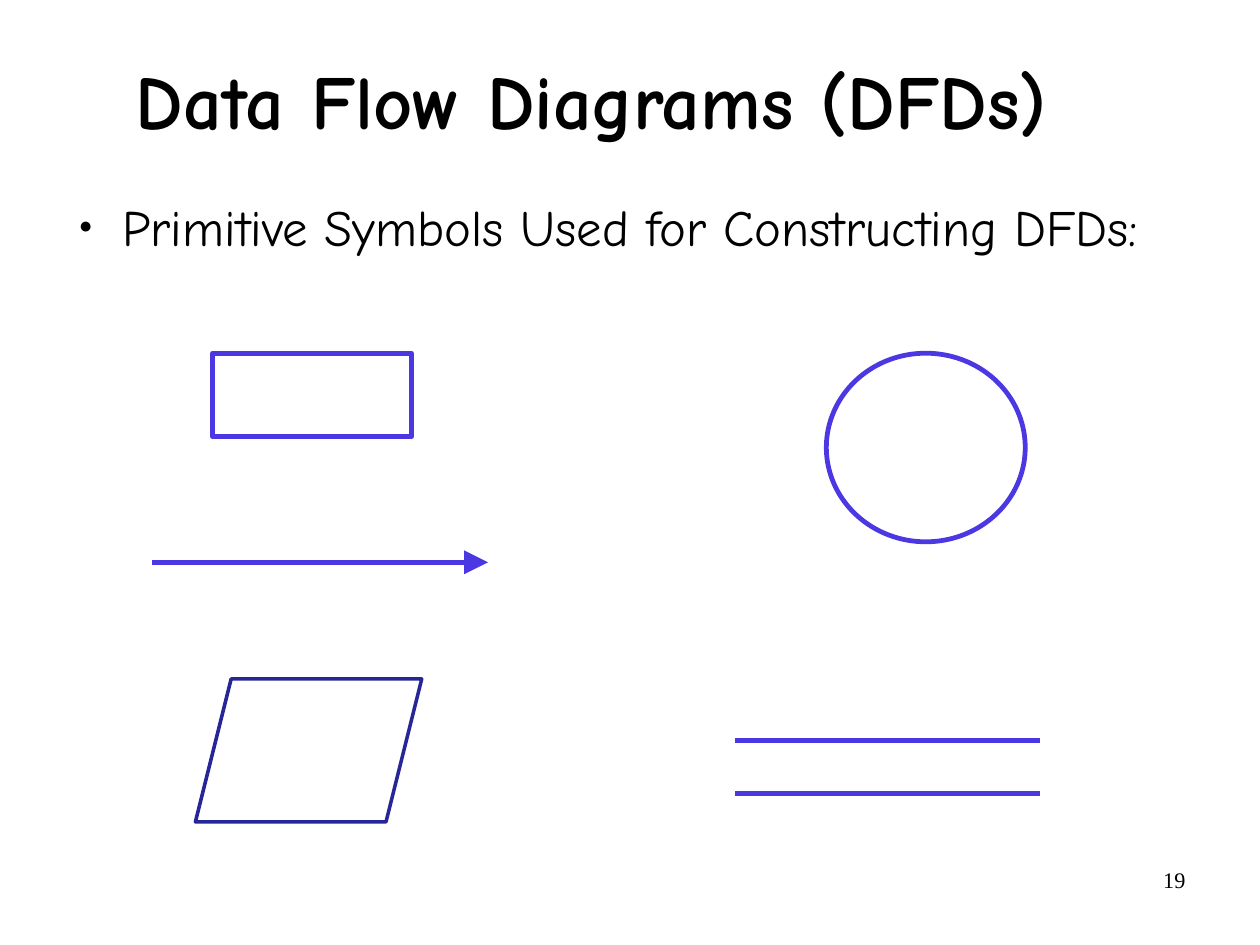
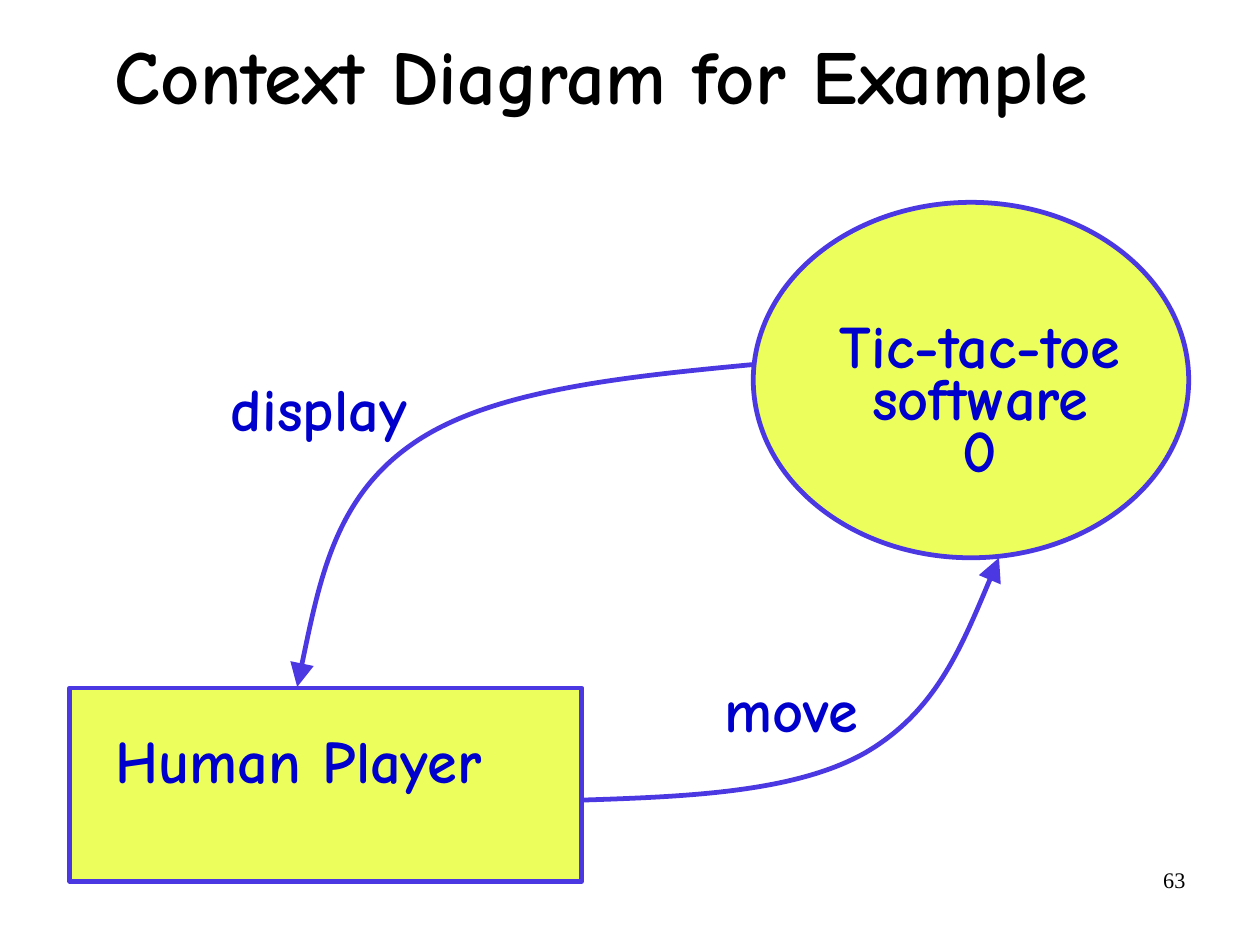
from pptx import Presentation
from pptx.dml.color import RGBColor
from pptx.enum.shapes import MSO_CONNECTOR, MSO_SHAPE
from pptx.enum.text import MSO_ANCHOR, PP_ALIGN
from pptx.oxml.ns import qn
from pptx.util import Inches, Pt
from lxml.etree import SubElement

COLORS = {"ink": "000000", "blue": "4C38E2", "navy": "262699", "lime": "EBFE5C", "label": "0000CC"}
COMIC = "Comic Neue"
TIMES = "Times New Roman"
STYLES = {
    "title": {
        "font": {"name": COMIC, "size": Pt(48), "bold": True},
        "para": {"alignment": PP_ALIGN.CENTER, "line_spacing": 0.94},
        "color": "ink", "pad": (0.02, 0.06, 0.02, 0.06), "anchor": MSO_ANCHOR.MIDDLE,
    },
    "body": {
        "font": {"name": COMIC, "size": Pt(32), "bold": False},
        "para": {"line_spacing": 1.15, "space_after": Pt(6)},
        "color": "ink", "pad": (0.02, 0.06, 0.02, 0.06), "anchor": MSO_ANCHOR.TOP,
    },
    "number": {
        "font": {"name": TIMES, "size": Pt(14), "bold": False},
        "para": {"alignment": PP_ALIGN.RIGHT},
        "color": "ink", "pad": (0.1, 0.05, 0.1, 0.05), "anchor": MSO_ANCHOR.TOP,
    },
    "label": {
        "font": {"name": COMIC, "size": Pt(38), "bold": True},
        "para": {"alignment": PP_ALIGN.LEFT, "line_spacing": 0.72},
        "color": "label", "pad": (0.02, 0.06, 0.02, 0.06), "anchor": MSO_ANCHOR.TOP,
    },
}


def write(shape, text, style, pad=None, align=None):
    look = STYLES[style]
    frame = shape.text_frame
    frame.word_wrap = True
    frame.vertical_anchor = look["anchor"]
    for side, gap in zip(("left", "top", "right", "bottom"), pad or look["pad"]):
        setattr(frame, f"margin_{side}", Inches(gap))
    para = frame.paragraphs[0]
    para.text = text
    for key, value in look["para"].items():
        setattr(para, key, value)
    if align is not None:
        para.alignment = align
    for run in para.runs:
        for key, value in look["font"].items():
            setattr(run.font, key, value)
        run.font.color.rgb = RGBColor.from_string(COLORS[look["color"]])
    return para


def paint(shape, line="blue", width=3, fill=None, arrow=False):
    shape.line.color.rgb = RGBColor.from_string(COLORS[line])
    shape.line.width = Pt(width)
    if hasattr(shape, "fill"):
        shape.shadow.inherit = False
        if fill:
            shape.fill.solid()
            shape.fill.fore_color.rgb = RGBColor.from_string(COLORS[fill])
        else:
            shape.fill.background()
    else:
        SubElement(shape._element.spPr, qn("a:effectLst"))
    if arrow:
        edge = shape._element.spPr.find(qn("a:ln"))
        SubElement(edge, qn("a:tailEnd"), type="triangle", w="lg", len="lg")


deck = Presentation()
deck.slide_width = Inches(28 / 2.54)
deck.slide_height = Inches(21 / 2.54)

slides = []
for title, box, number in (
    ("Data Flow Diagrams (DFDs)", (0.49, 0.22, 9.37, 1.37), "19"),
    ("Context Diagram for Example", (0, 0, 10.53, 1.37), "63"),
):
    slide = deck.slides.add_slide(deck.slide_layouts[6])
    write(slide.shapes.add_textbox(*map(Inches, (7.9, 7.53, 2.57, 0.57))), number, "number")
    write(slide.shapes.add_textbox(*map(Inches, box)), title, "title")
    slides.append(slide)
symbols, context = slides

body = symbols.shapes.add_textbox(*map(Inches, (0.67, 1.57, 10.35, 5.33)))
para = write(body, "Primitive Symbols Used for Constructing DFDs:", "body")
props = para._p.get_or_add_pPr()
props.set("marL", str(Inches(0.38)))
props.set("indent", str(-Inches(0.38)))
SubElement(SubElement(props, qn("a:buClr")), qn("a:srgbClr"), val=COLORS["ink"])
SubElement(props, qn("a:buSzPct"), val="45000")
SubElement(props, qn("a:buFont"), typeface=TIMES)
SubElement(props, qn("a:buChar"), char="●")

for kind, box, adjust, line, width in (
    (MSO_SHAPE.ROUNDED_RECTANGLE, (1.86, 3.09, 1.74, 0.73), 0, "blue", 3),
    (MSO_SHAPE.OVAL, (7.23, 3.09, 1.74, 1.65), None, "blue", 3),
    (MSO_SHAPE.PARALLELOGRAM, (1.71, 5.94, 1.98, 1.25), 0.25, "navy", 2.25),
):
    shape = symbols.shapes.add_shape(kind, *map(Inches, box))
    if adjust is not None:
        shape.adjustments[0] = adjust
    paint(shape, line, width)

for left, right, top, arrow in (
    (1.33, 4.27, 4.92, True),
    (6.43, 9.1, 6.48, False),
    (6.43, 9.1, 6.94, False),
):
    ends = map(Inches, (left, top, right, top))
    paint(symbols.shapes.add_connector(MSO_CONNECTOR.STRAIGHT, *ends), arrow=arrow)

for kind, box, text, pad, align in (
    (MSO_SHAPE.OVAL, (6.59, 1.77, 3.81, 3.11), "Tic-tac-toe software\v0",
     (0.16, 0.63, 0, 0), PP_ALIGN.CENTER),
    (MSO_SHAPE.ROUNDED_RECTANGLE, (0.61, 6.02, 4.48, 1.69), "Human Player",
     (0.4, 0.47, 0.02, 0.06), PP_ALIGN.LEFT),
):
    shape = context.shapes.add_shape(kind, *map(Inches, box))
    if kind == MSO_SHAPE.ROUNDED_RECTANGLE:
        shape.adjustments[0] = 0
    paint(shape, fill="lime")
    write(shape, text, "label", pad, align)

for points in (
    ((6.58, 3.19), (5.42, 3.3), (4.26, 3.42), (3.6, 3.89), (2.93, 4.36), (2.77, 5.19), (2.6, 6.01)),
    ((5.09, 7), (6.03, 6.97), (6.97, 6.93), (7.58, 6.58), (8.19, 6.22), (8.46, 5.55), (8.74, 4.88)),
):
    start, *rest = [(Inches(x), Inches(y)) for x, y in points]
    maker = context.shapes.build_freeform(*start)
    maker.add_line_segments(rest, close=False)
    flow = maker.convert_to_shape()
    track = next(flow._element.iter(qn("a:path")))
    steps = track.findall(qn("a:lnTo"))
    for first in range(0, len(steps), 3):
        curve = SubElement(track, qn("a:cubicBezTo"))
        for step in steps[first:first + 3]:
            curve.append(step[0])
            track.remove(step)
    paint(flow, arrow=True)

for text, box in (
    ("display", (2, 3.35, 2.98, 0.84)),
    ("move", (6.32, 5.98, 3.48, 0.84)),
):
    write(context.shapes.add_textbox(*map(Inches, box)), text, "label")

deck.save("out.pptx")
